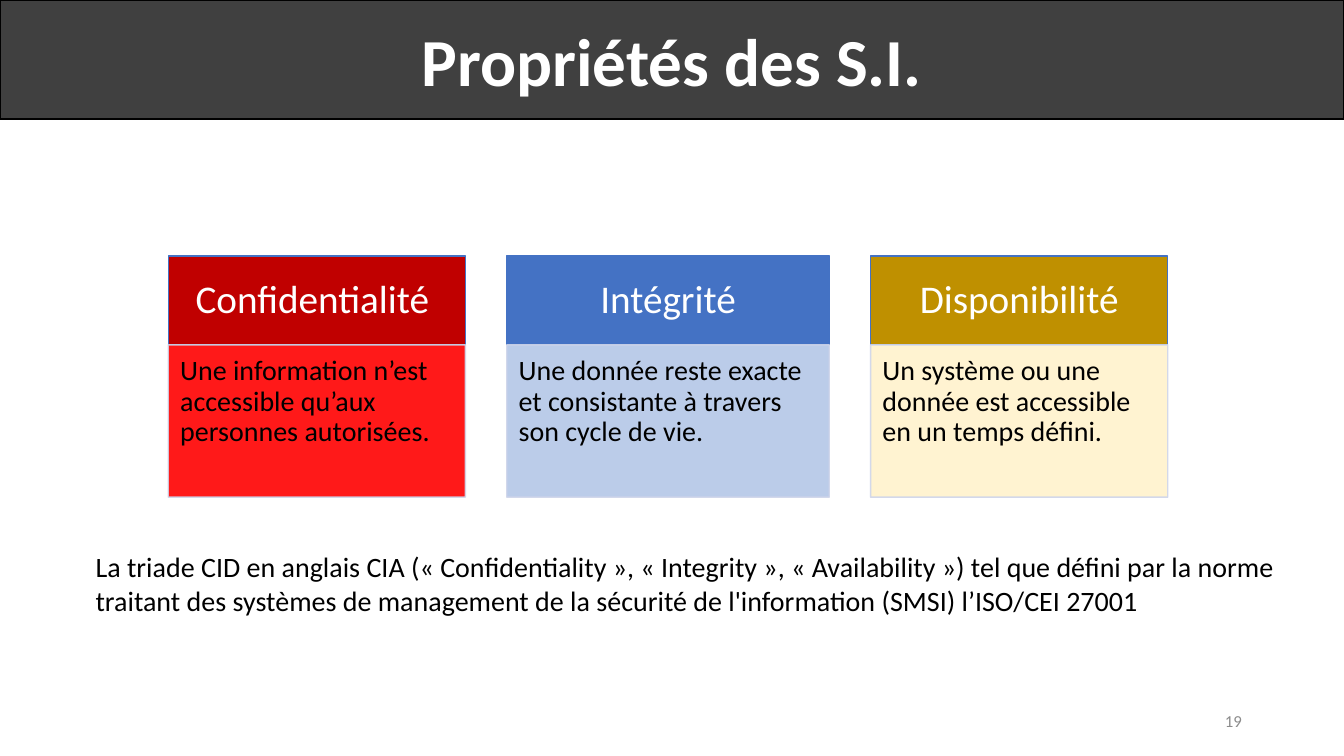
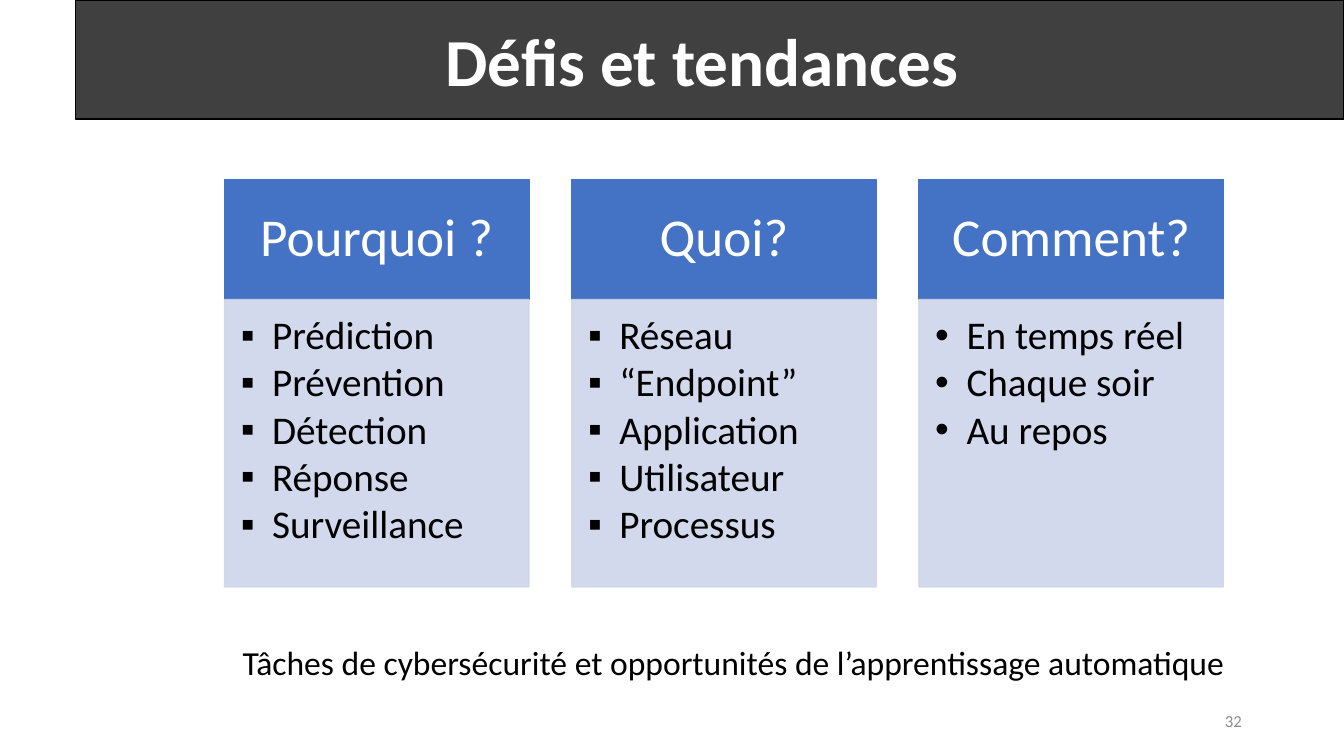
from lxml import etree
from pptx import Presentation
from pptx.dml.color import RGBColor
from pptx.enum.shapes import MSO_SHAPE
from pptx.enum.text import MSO_ANCHOR, PP_ALIGN
from pptx.oxml.ns import qn
from pptx.util import Cm, Pt

RECT = MSO_SHAPE.RECTANGLE
TOP, MIDDLE = MSO_ANCHOR.TOP, MSO_ANCHOR.MIDDLE
LEFT, CENTER, RIGHT = PP_ALIGN.LEFT, PP_ALIGN.CENTER, PP_ALIGN.RIGHT

FONT = "Calibri"
WIDTH, HEIGHT, BAND_H = 33.87, 19.05, 3
COLORS = {
    "band": "404040", "black": "000000", "white": "FFFFFF", "number": "8C8C8C",
    "blue": "4472C4", "lavender": "CFD5EA", "light_blue": "B4C7E7",
    "dark_red": "C00000", "red": "FF0000", "gold": "BF9000", "cream": "FFF2CC",
}
MARGINS = ("margin_left", "margin_top", "margin_right", "margin_bottom")
PLAIN = (0.25, 0.13, 0.25, 0.13)

TITLE = {"size": 48, "bold": True, "color": "white", "align": CENTER, "anchor": MIDDLE}
NUMBER = {"size": 12, "color": "number", "align": RIGHT, "anchor": MIDDLE}
HEAD = {"color": "white", "align": CENTER, "anchor": MIDDLE, "para": {"line_spacing": 0.9}}
BODY = {"para": {"line_spacing": 0.9}}
LIST = {"para": {"line_spacing": 0.9, "space_after": Pt(3.5)}}

SLIDES = [
    {
        "title": "Propriétés des S.I.", "number": "19", "band_left": 0,
        "caption": "La triade CID en anglais CIA (« Confidentiality », « Integrity », « Availability ») "
                   "tel que défini par la norme traitant des systèmes de management de la sécurité "
                   "de l'information (SMSI) l’ISO/CEI 27001",
        "caption_at": (2.16, 13.72, 30.89, 1.96),
        "caption_format": {"size": 20},
        "left": 4.24, "top": 6.45, "gap": 1.04, "head_h": 2.24, "body_h": 3.84,
        "head": {**HEAD, "size": 28, "margins": (0.56, 0.3, 0.56, 0.3)},
        "body": {**BODY, "size": 20, "margins": (0.3, 0.3, 0.41, 0.43)},
        "columns": [
            (7.49, "Confidentialité ", "dark_red", "red", None,
             ["Une information n’est accessible qu’aux personnes autorisées."]),
            (8.13, "Intégrité", "blue", "light_blue", None,
             ["Une donnée reste exacte et consistante à travers son cycle de vie."]),
            (7.49, "Disponibilité", "gold", "cream", None,
             ["Un système ou une donnée est accessible en un temps défini."]),
        ],
    },
    {
        "title": "Défis et tendances ", "number": "32", "band_left": 1.9,
        "caption": "Tâches de cybersécurité et opportunités de l’apprentissage automatique",
        "caption_at": (4.72, 16.05, 27.53, 1.27),
        "caption_format": {"size": 24, "align": CENTER},
        "left": 5.66, "top": 4.52, "gap": 1.08, "head_h": 3.03, "body_h": 7.24,
        "head": {**HEAD, "size": 38, "margins": (0.76, 0.43, 0.76, 0.43)},
        "body": {**LIST, "size": 28, "margins": (0.41, 0.41, 0.56, 0.61)},
        "columns": [
            (7.67, "Pourquoi ?", "blue", "lavender", "▪",
             ["Prédiction", "Prévention", "Détection", "Réponse", "Surveillance"]),
            (7.67, "Quoi?", "blue", "lavender", "▪",
             ["Réseau", "“Endpoint”", "Application", "Utilisateur", "Processus"]),
            (7.67, "Comment?", "blue", "lavender", "•",
             ["En temps réel", "Chaque soir", "Au repos"]),
        ],
    },
]


def write(sp, lines, fmt, bullet=None):
    tf = sp.text_frame
    tf.word_wrap = True
    tf.vertical_anchor = fmt.get("anchor", TOP)
    for name, value in zip(MARGINS, fmt.get("margins", PLAIN)):
        setattr(tf, name, Cm(value))
    for i, line in enumerate(lines):
        p = tf.paragraphs[0] if i == 0 else tf.add_paragraph()
        p.alignment = fmt.get("align", LEFT)
        for name, value in fmt.get("para", {}).items():
            setattr(p, name, value)
        if bullet:
            pPr = p._p.get_or_add_pPr()
            pPr.set("marL", str(Cm(0.79)))
            pPr.set("indent", str(-Cm(0.79)))
            etree.SubElement(pPr, qn("a:buFont")).set("typeface", "Arial")
            etree.SubElement(pPr, qn("a:buChar")).set("char", bullet)
        r = p.add_run()
        r.text = line
        font = {"name": FONT, "size": Pt(fmt["size"]), "bold": fmt.get("bold", False)}
        for name, value in font.items():
            setattr(r.font, name, value)
        r.font.color.rgb = RGBColor.from_string(COLORS[fmt.get("color", "black")])


def add_box(s, at, fill, line, alpha=None):
    sp = s.shapes.add_shape(RECT, *map(Cm, at))
    sp.shadow.inherit = False
    sp.fill.solid()
    sp.fill.fore_color.rgb = RGBColor.from_string(COLORS[fill])
    sp.line.color.rgb = RGBColor.from_string(COLORS[line])
    sp.line.width = Pt(1)
    if alpha:
        for clr in sp._element.spPr.iter(qn("a:srgbClr")):
            etree.SubElement(clr, qn("a:alpha")).set("val", str(alpha * 1000))
    return sp


prs = Presentation()
prs.slide_width, prs.slide_height = Cm(WIDTH), Cm(HEIGHT)

for data in SLIDES:
    s = prs.slides.add_slide(prs.slide_layouts[6])
    band_left = data["band_left"]
    band = add_box(s, (band_left, 0, WIDTH - band_left, BAND_H), "band", "black")
    write(band, [data["title"]], TITLE)

    caption = s.shapes.add_textbox(*map(Cm, data["caption_at"]))
    write(caption, [data["caption"]], data["caption_format"])

    x, y = data["left"], data["top"]
    for w, heading, head_fill, body_fill, bullet, lines in data["columns"]:
        head = add_box(s, (x, y, w, data["head_h"]), head_fill, "blue")
        write(head, [heading], data["head"])
        body_at = (x, y + data["head_h"], w, data["body_h"])
        body = add_box(s, body_at, body_fill, "lavender", alpha=90)
        write(body, lines, data["body"], bullet)
        x += w + data["gap"]

    number = s.shapes.add_textbox(Cm(23.93), Cm(17.65), Cm(7.62), Cm(1.02))
    write(number, [data["number"]], NUMBER)

prs.save("out.pptx")
